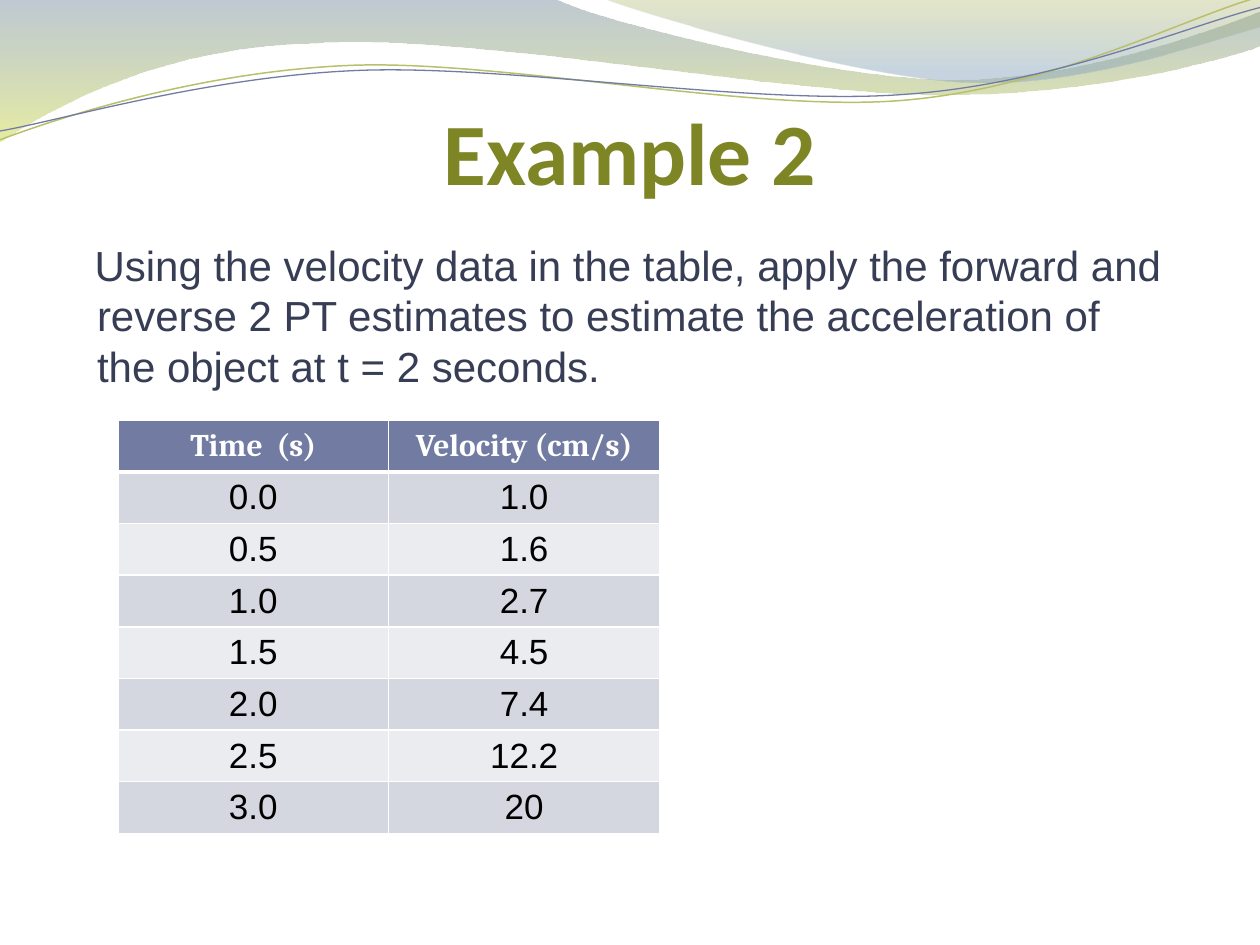
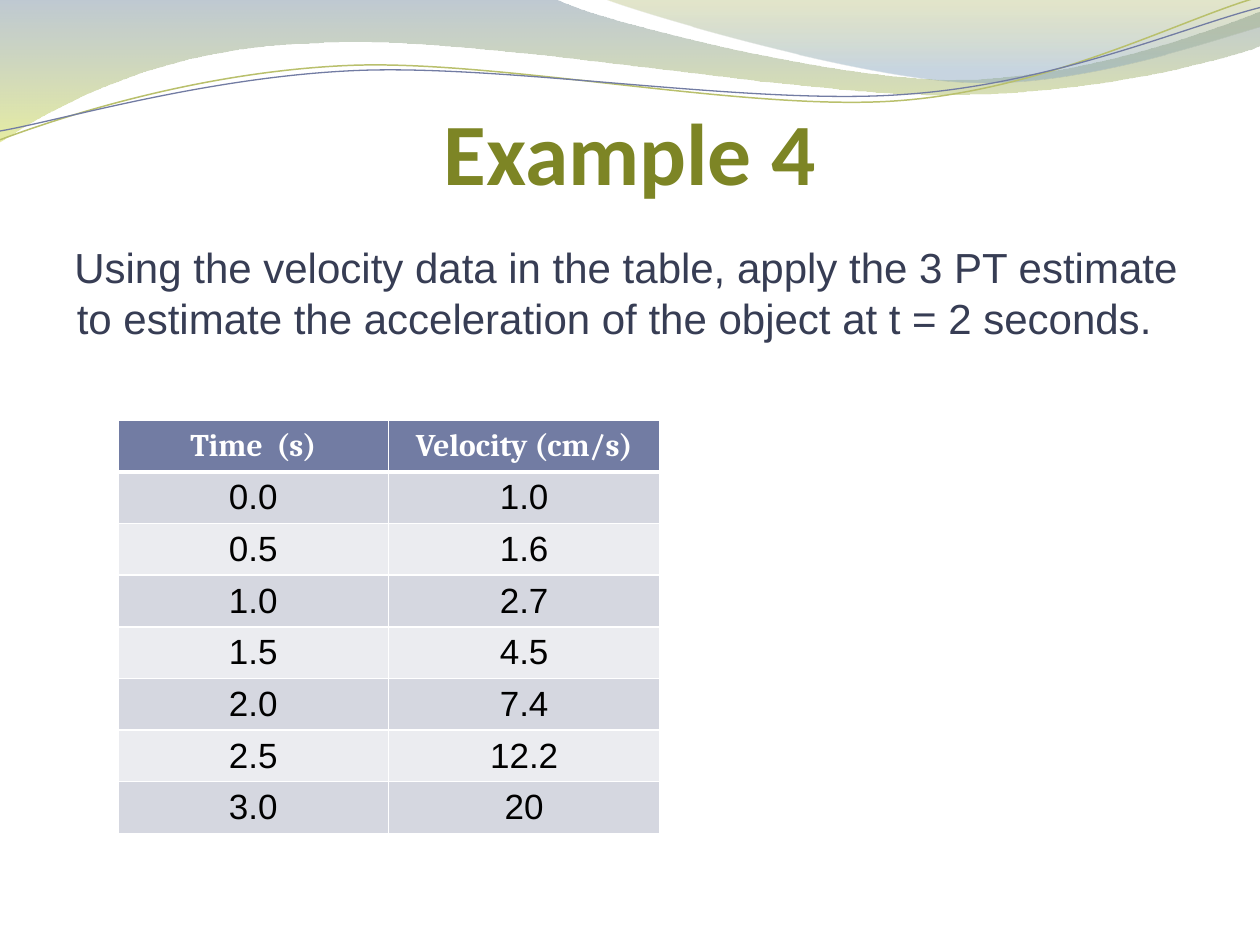
from dataclasses import dataclass
from typing import Any, NamedTuple

from lxml.etree import SubElement
from pptx import Presentation
from pptx.dml.color import RGBColor
from pptx.enum.text import MSO_ANCHOR, MSO_AUTO_SIZE, PP_ALIGN
from pptx.oxml.ns import qn
from pptx.util import Emu, Inches, Pt

COLUMNS, ROWS = 100, 75
UNIT = Inches(0.1)

WHITE, BLACK = "FFFFFF", "000000"
SLATE, OLIVE, NAVY = "727CA3", "7D8525", "373D54"
BANDS = ("D5D7E0", "EBECF0")

Point = tuple[float, float]


class Box(NamedTuple):
    left: float
    top: float
    width: float
    height: float


class Stop(NamedTuple):
    position: float
    color: str
    opacity: int


class Curve(NamedTuple):
    first_handle: Point
    second_handle: Point
    end: Point


@dataclass(frozen=True)
class Wave:
    start: Point
    steps: tuple[Point | Curve, ...]
    stops: tuple[Stop, ...] = ()
    line_color: str = ""
    line_width: float = 0


@dataclass(frozen=True)
class Example:
    title: str
    question: str
    question_box: Box


TITLE_BOX = Box(5, 3.6, 90, 12.5)
TABLE_BOX = Box(9.35, 33.35, 43, 32.8)

TITLE_FONT = {"name": "Calibri", "size": Pt(50), "bold": True, "color": OLIVE}
BODY_FONT = {"name": "Arial", "size": Pt(24), "color": NAVY}
HEAD_FONT = {"name": "Cambria", "size": Pt(18), "bold": True, "color": WHITE}
CELL_FONT = {"name": "Arial", "size": Pt(20), "bold": False, "color": BLACK}

WAVES = (
    Wave((0, 0), (
        (44, -0.1),
        Curve((47.6, 1.7), (66.4, 6.3), (75.8, 6.3)),
        Curve((85.3, 6.3), (95.8, 2.6), (100, 0.9)),
        (100.1, 3.6),
        Curve((98.3, 4.4), (87, 7.6), (74.6, 7.5)),
        Curve((62.2, 7.5), (38.2, 2.8), (25.7, 3.4)),
        Curve((12.9, 3.6), (4.6, 8.3), (-0.1, 11.3)),
    ), stops=(Stop(0, "72889B", 45), Stop(1, "D3DE57", 55))),
    Wave((47.9, -0.1), (
        Curve((50.9, 1.1), (68.2, 6.2), (76.9, 6.5)),
        Curve((85.6, 6.9), (96.1, 3.2), (100, 2.1)),
        (100, 0),
    ), stops=(Stop(0, "A4AC50", 30), Stop(0.8, "84A3BD", 45))),
    Wave((0, 11.1), (
        Curve((4.8, 9.3), (15.8, 5.7), (27.7, 5.2)),
        Curve((39.5, 4.7), (59.3, 8.9), (71.3, 8)),
        Curve((83.3, 7.1), (93.8, 1.5), (99.8, -0.2)),
    ), line_color="B9C06C", line_width=0.85),
    Wave((0, 10.4), (
        Curve((4.7, 9.6), (16.4, 6.1), (28.3, 5.6)),
        Curve((40.3, 5.1), (59.7, 8.4), (71.7, 7.5)),
        Curve((83.6, 6.7), (94.1, 2.1), (100, 0.6)),
    ), line_color=SLATE, line_width=0.75),
)

READINGS = (
    ("Time  (s)", "Velocity (cm/s)"),
    ("0.0", "1.0"),
    ("0.5", "1.6"),
    ("1.0", "2.7"),
    ("1.5", "4.5"),
    ("2.0", "7.4"),
    ("2.5", "12.2"),
    ("3.0", "20"),
)

EXAMPLES = (
    Example(
        "Example 2",
        "Using the velocity data in the table, apply the forward and reverse 2 PT "
        "estimates to estimate the acceleration of the object at t = 2 seconds.",
        Box(3.7, 18.5, 90, 12.2),
    ),
    Example(
        "Example 4",
        "Using the velocity data in the table, apply the 3 PT estimate "
        "to estimate the acceleration of the object at t = 2 seconds.",
        Box(2.1, 18.7, 92.9, 12.2),
    ),
)


def rgb(color: str) -> RGBColor:
    return RGBColor.from_string(color)


def units(count: float) -> Emu:
    return Emu(round(count * UNIT))


def apply(target: Any, values: dict[str, Any]) -> None:
    for name, value in values.items():
        if name == "color":
            target.color.rgb = rgb(value)
        else:
            setattr(target, name, value)


def place(shape: Any, box: Box) -> None:
    apply(shape, {side: units(count) for side, count in box._asdict().items()})


def write(frame: Any, text: str, font: dict[str, Any], align: PP_ALIGN) -> Any:
    para = frame.paragraphs[0]
    para.alignment = align
    span = para.add_run()
    span.text = text
    apply(span.font, font)
    return para


def bend(shape: Any, steps: tuple[Point | Curve, ...]) -> None:
    segments = iter(list(shape.element.iter(qn("a:lnTo"))))
    for step in steps:
        segment = next(segments)
        if isinstance(step, Curve):
            segment.tag = qn("a:cubicBezTo")
            for _ in range(2):
                extra = next(segments)
                segment.append(extra[0])
                extra.getparent().remove(extra)


def draw_wave(page: Any, wave: Wave) -> Any:
    points = []
    for step in wave.steps:
        points += step if isinstance(step, Curve) else [step]
    start, *rest = [(units(x), units(y)) for x, y in [wave.start, *points]]
    outline = page.shapes.build_freeform(*start)
    outline.add_line_segments(rest, close=bool(wave.stops))
    shape = outline.convert_to_shape()
    bend(shape, wave.steps)
    shape.shadow.inherit = False
    if wave.stops:
        shape.line.fill.background()
        shape.fill.gradient()
        shape.fill.gradient_angle = 270
        for target, stop in zip(shape.fill.gradient_stops, wave.stops):
            apply(target, {"position": stop.position, "color": stop.color})
        for tint, stop in zip(shape.element.iter(qn("a:srgbClr")), wave.stops):
            SubElement(tint, qn("a:alpha"), val=str(stop.opacity * 1000))
    else:
        shape.fill.background()
        apply(shape.line, {"color": wave.line_color, "width": Pt(wave.line_width)})
    return shape


def move_to_master(deck: Any, shapes: list[Any]) -> None:
    tree = deck.slide_master.shapes.element
    for order, shape in enumerate(shapes):
        shape.element.nvSpPr.cNvPr.set("id", str(100 + order))
        tree.insert(2 + order, shape.element)


def draw_title(page: Any, text: str) -> None:
    title = page.shapes.title
    place(title, TITLE_BOX)
    apply(title.text_frame, {
        "auto_size": MSO_AUTO_SIZE.NONE, "vertical_anchor": MSO_ANCHOR.BOTTOM,
        "margin_left": 0, "margin_top": Inches(0.05),
        "margin_right": 0, "margin_bottom": 0,
    })
    write(title.text_frame, text, TITLE_FONT, PP_ALIGN.CENTER)


def draw_question(page: Any, example: Example) -> None:
    body = page.placeholders[1]
    place(body, example.question_box)
    apply(body.text_frame, {"auto_size": MSO_AUTO_SIZE.NONE, "word_wrap": True})
    para = write(body.text_frame, example.question, BODY_FONT, PP_ALIGN.LEFT)
    para.space_before = Pt(1.5)
    properties = para._p.get_or_add_pPr()
    properties.set("marL", str(Inches(0.3)))
    properties.set("indent", str(Inches(-0.02)))
    SubElement(properties, qn("a:buNone"))


def draw_borders(cell: Any, widths: dict[str, int]) -> None:
    properties = cell._tc.get_or_add_tcPr()
    for order, (side, width) in enumerate(widths.items()):
        line = SubElement(properties, qn(f"a:ln{side}"), w=str(Pt(width)))
        fill = SubElement(line, qn("a:solidFill"))
        SubElement(fill, qn("a:srgbClr"), val=WHITE)
        properties.insert(order, line)


def draw_table(page: Any) -> None:
    frame = page.shapes.add_table(len(READINGS), len(READINGS[0]), 0, 0, UNIT, UNIT)
    place(frame, TABLE_BOX)
    table = frame.table
    for column in table.columns:
        column.width = units(TABLE_BOX.width / len(READINGS[0]))
    for index, reading in enumerate(READINGS):
        table.rows[index].height = units(TABLE_BOX.height / len(READINGS))
        for cell, text in zip(table.rows[index].cells, reading):
            apply(cell, {
                "vertical_anchor": MSO_ANCHOR.MIDDLE,
                "margin_top": Inches(0.04), "margin_bottom": Inches(0.04),
            })
            cell.fill.solid()
            cell.fill.fore_color.rgb = rgb(BANDS[(index - 1) % 2] if index else SLATE)
            font = CELL_FONT if index else HEAD_FONT
            write(cell.text_frame, text, font, PP_ALIGN.CENTER)
            draw_borders(cell, {
                "L": 1, "R": 1,
                "T": 3 if index == 1 else 1,
                "B": 1 if index else 3,
            })


def main() -> None:
    deck = Presentation()
    deck.slide_width, deck.slide_height = units(COLUMNS), units(ROWS)
    for example in EXAMPLES:
        page = deck.slides.add_slide(deck.slide_layouts[1])
        draw_title(page, example.title)
        draw_question(page, example)
        draw_table(page)
    move_to_master(deck, [draw_wave(page, wave) for wave in WAVES])
    deck.save("out.pptx")


if __name__ == "__main__":
    main()
